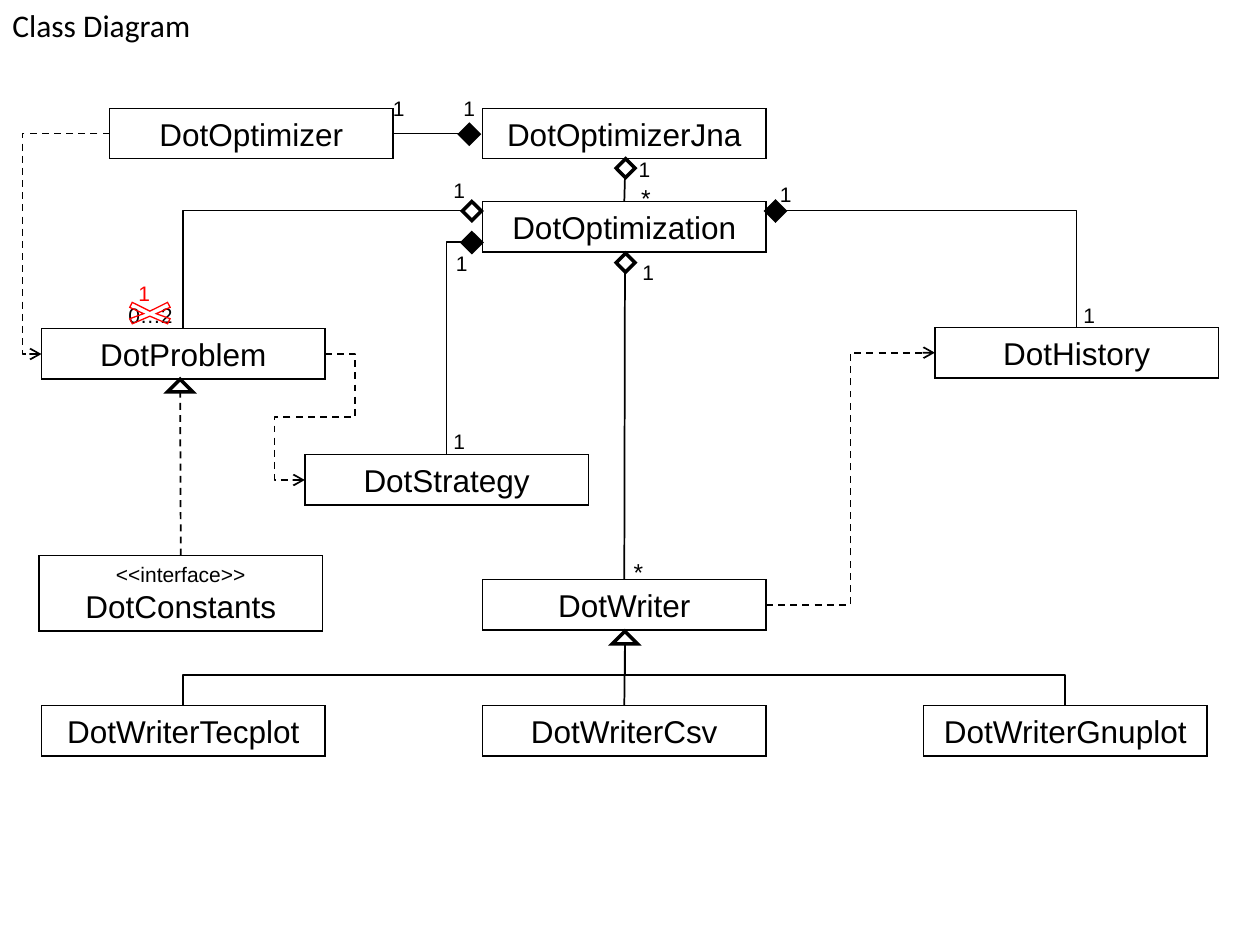
from lxml.etree import SubElement as Sub
from pptx import Presentation
from pptx.dml.color import RGBColor
from pptx.enum.dml import MSO_LINE as Dash
from pptx.enum.shapes import MSO_CONNECTOR as Conn, MSO_SHAPE as Kind
from pptx.enum.text import MSO_AUTO_SIZE as Fit, PP_ALIGN as Align
from pptx.oxml.ns import qn
from pptx.util import Inches, Pt

BLACK = RGBColor(0, 0, 0)
RED = RGBColor(255, 0, 0)

LEFT, MID, RIGHT = [0.33 + 3.5 * i for i in range(3)]
ROW = [0.6 + i for i in range(6)]
WIDE, TALL = 2.25, 0.4
GEM = 0.15
TIP_W, TIP_H = 0.2, 0.1

BOXES = {
    "DotOptimizer": (0.87, 0.86),
    "DotOptimizerJna": (MID, 0.86),
    "DotOptimization": (MID, ROW[1]),
    "DotProblem": (LEFT, 2.61),
    "DotHistory": (7.42, ROW[2]),
    "DotStrategy": (2.42, 3.61),
    "DotConstants": (0.31, 4.41),
    "DotWriter": (MID, ROW[4]),
    "DotWriterTecplot": (LEFT, ROW[5]),
    "DotWriterCsv": (MID, ROW[5]),
    "DotWriterGnuplot": (RIGHT, ROW[5]),
}
STEREO = {"DotConstants": "<<interface>>"}

GEMS = [
    (4.89, 1.26, False), (3.67, 1.6, False), (4.89, 2.01, False),
    (6.08, 1.6, True), (3.67, 1.85, True), (3.65, 0.99, True),
]
TIPS = [(4.86, 5.01), (1.33, 3.01)]

LABELS = [
    ("1", 4.97, 1.19), ("*", 4.99, 1.4), ("1", 3.5, 1.36),
    ("0…2", 0.92, 2.35), ("1", 6.09, 1.39), ("1", 8.5, 2.35),
    ("1", 5, 2.01), ("1", 3.52, 1.94), ("1", 3.5, 3.35),
    ("*", 4.93, 4.37), ("1", 3.58, 0.71), ("1", 3.02, 0.71),
]
CROSS = [
    (103, 244), (105, 240), (119, 247), (133, 240),
    (135, 244), (124, 249), (135, 253), (133, 257),
    (119, 251), (105, 257), (103, 253), (114, 249),
]

deck = Presentation()
deck.slide_width, deck.slide_height = Inches(10), Inches(7.5)
slide = deck.slides.add_slide(deck.slide_layouts[6])
shapes = slide.shapes


def height(name):
    return TALL * 1.5 if name in STEREO else TALL


def side(name, edge):
    x, y = BOXES[name]
    high = height(name)
    return {
        "left": (x, y + high / 2),
        "right": (x + WIDE, y + high / 2),
        "top": (x + WIDE / 2, y),
    }[edge]


def write(shape, lines, color=BLACK, font="Arial", align=Align.LEFT):
    frame = shape.text_frame
    frame.word_wrap = True
    frame.auto_size = Fit.SHAPE_TO_FIT_TEXT
    for i, (text, size) in enumerate(lines):
        para = frame.add_paragraph() if i else frame.paragraphs[0]
        para.alignment = align
        run = para.add_run()
        run.text = text
        run.font.size = Pt(size)
        run.font.name = font
        run.font.color.rgb = color


def style(shape, width, fill=None, color=BLACK):
    shape.shadow.inherit = False
    if fill is None:
        shape.fill.background()
    else:
        shape.fill.solid()
        shape.fill.fore_color.rgb = fill
    shape.line.color.rgb = color
    shape.line.width = Pt(width)
    Sub(shape._element.spPr.find(qn("a:ln")), qn("a:miter"), lim="800000")
    return shape


def draw(kind, x, y, w, h, width, fill=None):
    spot = [Inches(v) for v in (x, y, w, h)]
    return style(shapes.add_shape(kind, *spot), width, fill)


def label(text, x, y, w, h, size, **look):
    box = shapes.add_textbox(*[Inches(v) for v in (x, y, w, h)])
    write(box, [(text, size)], **look)


def link(start, end, geom="line", adj=(), dash=False, arrow=False):
    kind = Conn.STRAIGHT if geom == "line" else Conn.ELBOW
    wire = shapes.add_connector(kind, *[Inches(v) for v in start + end])
    wire.line.color.rgb = BLACK
    wire.line.width = Pt(1)
    if dash:
        wire.line.dash_style = Dash.DASH
    props = wire._element.spPr
    if arrow:
        Sub(props.find(qn("a:ln")), qn("a:tailEnd"), type="arrow")
    Sub(props, qn("a:effectLst"))
    shape = props.find(qn("a:prstGeom"))
    shape.set("prst", geom)
    for i, share in enumerate(adj, 1):
        Sub(shape.find(qn("a:avLst")), qn("a:gd"),
            name=f"adj{i}", fmla=f"val {round(share * 100000)}")
    return wire


def climb(start, end):
    wire = link(start, end, "bentConnector3", [0.5])
    wide, high = abs(end[0] - start[0]), abs(end[1] - start[1])
    wire.left = Inches((start[0] + end[0] - high) / 2)
    wire.top = Inches((start[1] + end[1] - wide) / 2)
    wire.width, wire.height = Inches(high), Inches(wide)
    form = wire._element.spPr.find(qn("a:xfrm"))
    form.set("rot", str(270 * 60000))
    form.set("flipH", "0")
    form.set("flipV", "1" if end[0] < start[0] else "0")


for name, (x, y) in BOXES.items():
    lines = [(name, 18)]
    if name in STEREO:
        lines.insert(0, (STEREO[name], 12))
    box = draw(Kind.RECTANGLE, x, y, WIDE, height(name), 0.75)
    write(box, lines, align=Align.CENTER)

for x, y, full in GEMS:
    draw(Kind.DIAMOND, x, y, GEM, GEM, 2, BLACK if full else None)
for x, y in TIPS:
    draw(Kind.ISOSCELES_TRIANGLE, x, y, TIP_W, TIP_H, 2)

link((4.96, 1.41), side("DotOptimization", "top"))
link((4.96, 2.16), side("DotWriter", "top"))
link(side("DotConstants", "top"), (1.43, 3.11), dash=True)
link((3.65, 1.06), side("DotOptimizer", "right"), "bentConnector3", [0.5])

for start, name in [((3.67, 1.67), "DotProblem"),
                    ((3.67, 1.92), "DotStrategy"),
                    ((6.23, 1.67), "DotHistory")]:
    link(start, side(name, "top"), "bentConnector2")

for tail, edge, head, geom, adj in [
    ("DotWriter", "right", "DotHistory", "bentConnector3", [0.5]),
    ("DotProblem", "right", "DotStrategy", "bentConnector5", [-1.5, 0.5, 2.5]),
    ("DotOptimizer", "left", "DotProblem", "bentConnector3", [1.28]),
]:
    link(side(tail, edge), side(head, "left"), geom, adj, True, True)

peak = (4.96, 5.11)
link(side("DotWriterCsv", "top"), peak)
for name in ("DotWriterTecplot", "DotWriterGnuplot"):
    climb(side(name, "top"), peak)

label("Class Diagram", 0, 0, 3, 0.4, 18, font="Calibri")
for text, x, y in LABELS:
    star = text == "*"
    label(text, x, y, 0.61 if len(text) > 1 else 0.25,
          0.34 if star else 0.3, 14 if star else 12)
label("1", 1, 2.18, 0.25, 0.3, 12, color=RED)

pen = shapes.build_freeform(*CROSS[0], scale=Inches(0.01))
pen.add_line_segments(CROSS[1:], close=True)
style(pen.convert_to_shape(), 0.75, color=RED)

deck.save("out.pptx")
